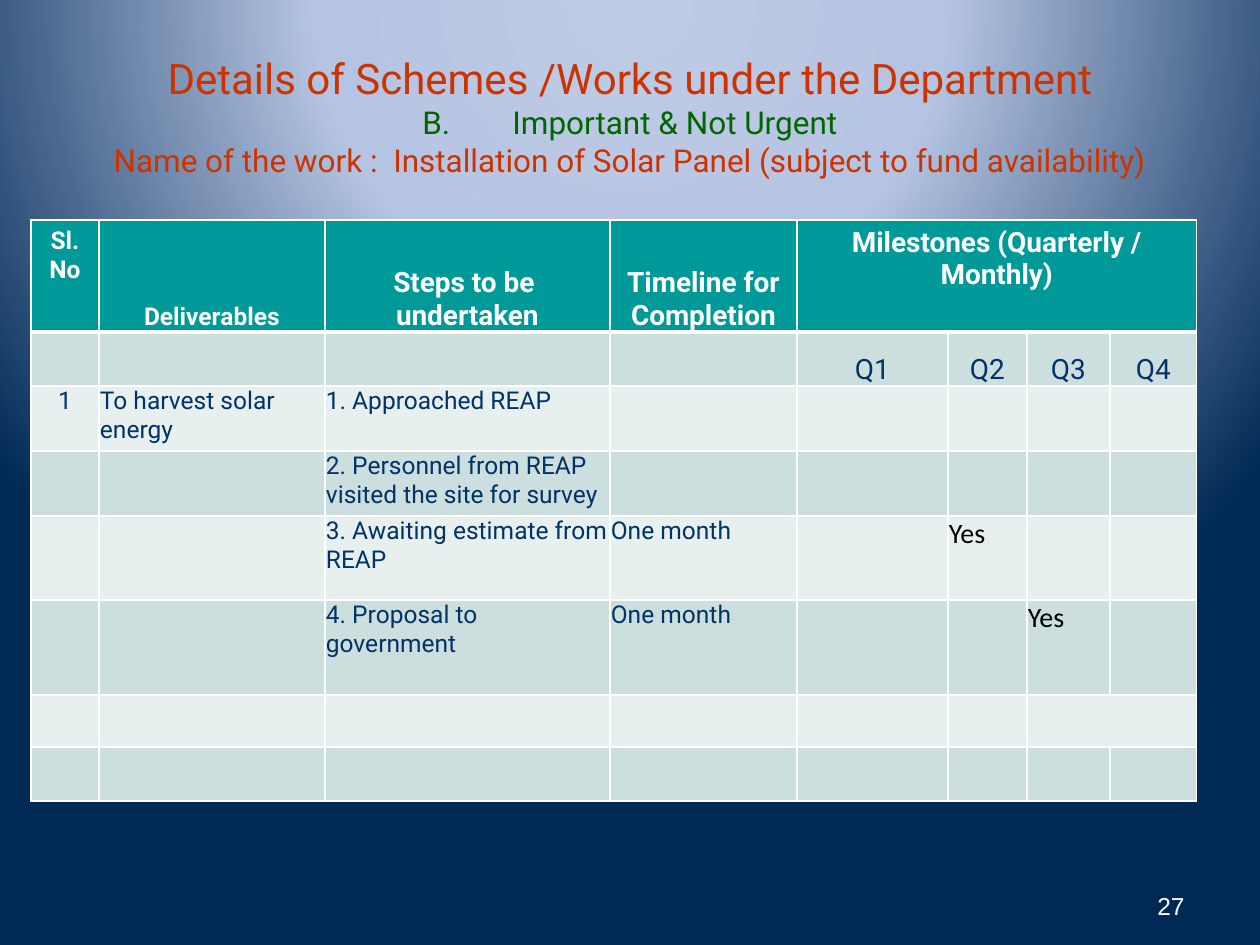
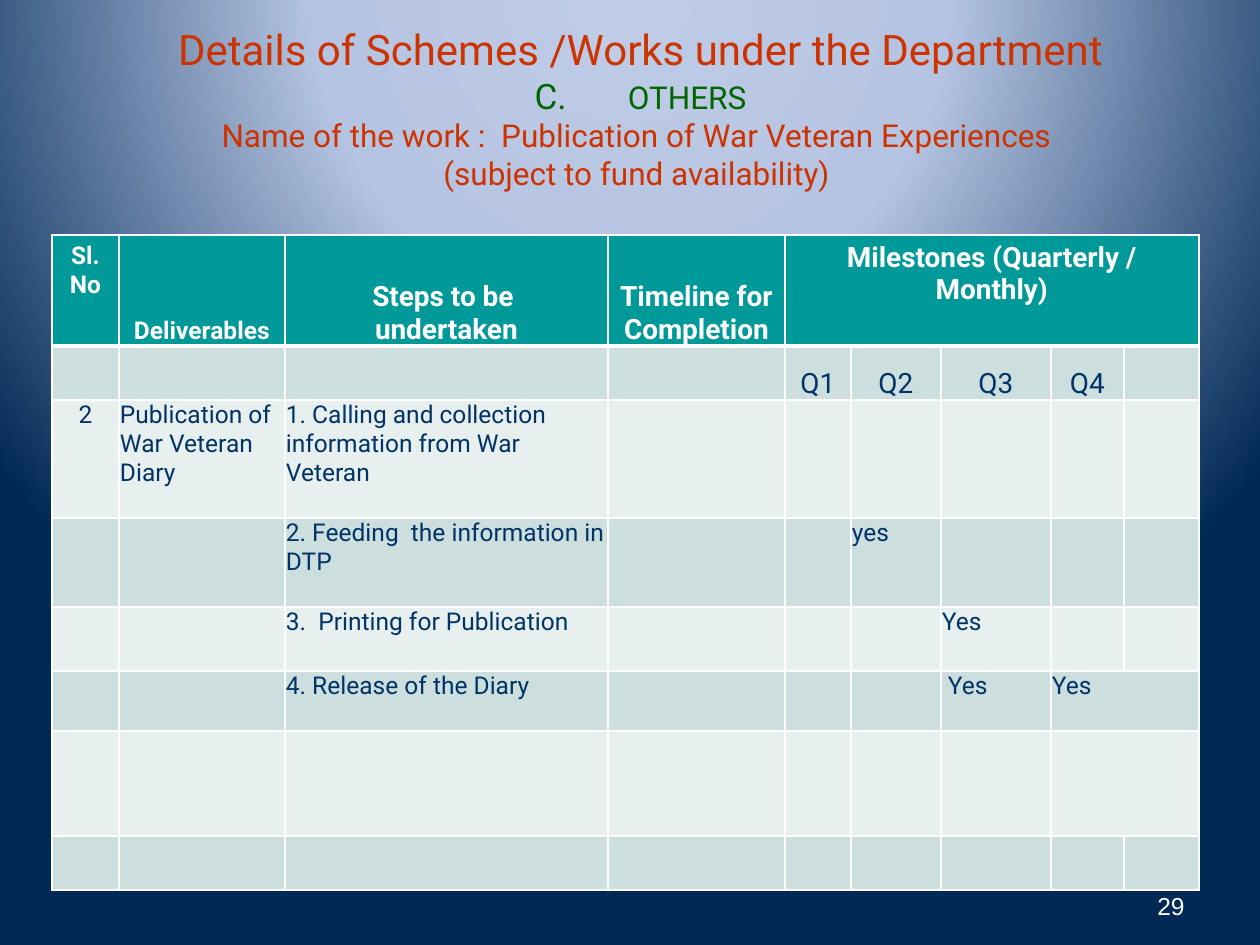
"""Build two scheme slides, each with a title, a milestone table and a page number."""
from dataclasses import dataclass

from lxml.etree import SubElement
from pptx import Presentation
from pptx.dml.color import RGBColor
from pptx.enum.text import MSO_ANCHOR as Anchor, PP_ALIGN as Align
from pptx.oxml import parse_xml
from pptx.oxml.ns import nsdecls, qn
from pptx.util import Pt

EMU_PER_PX = 914400 / 126
SLIDE_WIDTH, SLIDE_HEIGHT = 1260, 945
COLORS = {
    "title": "CC3300", "section": "006600", "header": "009999", "text": "003366",
    "dark_band": "CCDEDE", "light_band": "E7EFEF", "white": "FFFFFF", "black": "000000",
    "glow": "C0CCE6", "halo": "B5C4E2", "night": "002955",
}
GRADIENT_STOPS = ((0, "glow"), (40, "halo"), (100, "night"))
HEADINGS = ("Sl.\nNo", "Deliverables", "Steps to be \nundertaken",
            "Timeline for Completion", "Milestones (Quarterly / Monthly)")
QUARTERS = ("Q1", "Q2", "Q3", "Q4")
FIRST_QUARTER = 4


@dataclass(frozen=True)
class Box:
    """A rectangle in px."""

    left: int
    top: int
    width: int
    height: int


@dataclass(frozen=True)
class Section:
    """The lettered line of a title."""

    letter: str
    name: str
    letter_size: int
    gap: int


@dataclass(frozen=True)
class Mark:
    """The text format of a milestone mark."""

    font: str = "Roboto"
    size: int = 14
    color: str = "text"


@dataclass(frozen=True)
class Scheme:
    """The content and geometry of one slide."""

    page: str
    title_box: Box
    section: Section
    work: tuple[str, ...]
    table_left: int
    table_top: int
    columns: tuple[int, ...]
    rows: tuple[int, ...]
    entries: dict[tuple[int, int], str]
    merged: tuple[tuple[int, int], ...]
    mark: Mark = Mark()


SCHEMES = (
    Scheme(
        page="27",
        title_box=Box(63, 53, 1134, 126),
        section=Section("B.", "Important & Not Urgent", 18, 31),
        work=("Name of the work :  Installation of Solar Panel (subject to fund availability)",),
        table_left=31, table_top=220,
        columns=(68, 226, 285, 187, 151, 79, 83, 87),
        rows=(112, 54, 65, 65, 84, 95, 52, 54),
        entries={
            (2, 0): "1", (2, 1): "To harvest solar energy", (2, 2): "1. Approached REAP",
            (3, 2): "2. Personnel from REAP visited the site for survey",
            (4, 2): "3. Awaiting estimate from REAP", (4, 3): "One month", (4, 5): "Yes",
            (5, 2): "4. Proposal to government", (5, 3): "One month", (5, 6): "Yes",
        },
        merged=((6, 6),),
        mark=Mark("Calibri", 16, "black"),
    ),
    Scheme(
        page="29",
        title_box=Box(42, 24, 1197, 166),
        section=Section("C.", "OTHERS", 20, 30),
        work=("Name of the work :  Publication of War Veteran Experiences ",
              "(subject to fund availability) "),
        table_left=52, table_top=235,
        columns=(67, 166, 323, 177, 66, 90, 110, 73, 75),
        rows=(111, 54, 118, 89, 64, 60, 105, 54),
        entries={
            (2, 0): "2", (2, 1): "Publication of War Veteran Diary",
            (2, 2): "1. Calling and collection information from War Veteran",
            (3, 2): "2. Feeding  the information in DTP", (3, 5): "yes",
            (4, 2): "3.  Printing for Publication", (4, 6): "Yes",
            (5, 2): "4. Release of the Diary", (5, 6): " Yes", (5, 7): "Yes",
        },
        merged=((5, 7), (6, 7)),
    ),
)


def px(length: float) -> int:
    """Turn px into EMU."""
    return round(length * EMU_PER_PX)


def write(paragraph, text: str, *, size: int = 14, color: str = "text", font: str = "Roboto",
          bold: bool = False, align: Align = Align.LEFT, spacing: int = 0) -> None:
    """Add a formatted run to a paragraph."""
    paragraph.alignment = align
    run = paragraph.add_run()
    run.text = text
    run.font.size = Pt(size)
    run.font.name = font
    run.font.bold = bold
    run.font.color.rgb = RGBColor.from_string(COLORS[color])
    if spacing:
        run.font._element.set("spc", str(spacing * 100))


def add_text_frame(slide, box: Box, anchor: Anchor):
    """Add a wrapping text box and return its frame."""
    shape = slide.shapes.add_textbox(px(box.left), px(box.top), px(box.width), px(box.height))
    frame = shape.text_frame
    frame.word_wrap = True
    frame.vertical_anchor = anchor
    return frame


def paint_background(slide) -> None:
    """Fill the slide with the radial gradient."""
    stops = "".join(f'<a:gs pos="{position * 1000}"><a:srgbClr val="{COLORS[name]}"/></a:gs>'
                    for position, name in GRADIENT_STOPS)
    background = parse_xml(
        f'<p:bg {nsdecls("p", "a")}><p:bgPr><a:gradFill rotWithShape="1">'
        f'<a:gsLst>{stops}</a:gsLst><a:path path="circle">'
        '<a:fillToRect l="50000" t="-80000" r="50000" b="180000"/></a:path>'
        '</a:gradFill><a:effectLst/></p:bgPr></p:bg>')
    slide.element.find(qn("p:cSld")).insert(0, background)


def add_title(slide, scheme: Scheme) -> None:
    """Add the heading, the section line and the name of the work."""
    frame = add_text_frame(slide, scheme.title_box, Anchor.TOP)
    frame.margin_top = frame.margin_bottom = 0
    write(frame.paragraphs[0], "Details of Schemes /Works under the Department",
          size=24, color="title", align=Align.CENTER)
    section = scheme.section
    paragraph = frame.add_paragraph()
    for text, size, spacing in ((section.letter, section.letter_size, 0),
                                (" ", section.letter_size, section.gap),
                                (section.name, 18, 0)):
        write(paragraph, text, size=size, color="section", align=Align.CENTER, spacing=spacing)
    for line in scheme.work:
        write(frame.add_paragraph(), line, size=18, color="title", align=Align.CENTER)


def style_cell(cell, row: int) -> None:
    """Give a cell its white borders and band fill."""
    properties = cell._tc.get_or_add_tcPr()
    for side in ("L", "R", "T", "B"):
        width = 3 if (row, side) in ((0, "B"), (1, "T")) else 1
        line = SubElement(properties, qn(f"a:ln{side}"), w=str(Pt(width)))
        SubElement(SubElement(line, qn("a:solidFill")), qn("a:srgbClr"), val=COLORS["white"])
    band = "header" if row == 0 else "dark_band" if row % 2 else "light_band"
    cell.fill.solid()
    cell.fill.fore_color.rgb = RGBColor.from_string(COLORS[band])


def fill_cell(cell, text: str, *, tight: bool = True, anchor: Anchor = Anchor.TOP,
              **text_format) -> None:
    """Write the lines of a cell, with narrow margins where tight."""
    if tight:
        cell.margin_left = cell.margin_right = cell.margin_top = px(1)
        cell.margin_bottom = 0
    cell.vertical_anchor = anchor
    frame = cell.text_frame
    for index, line in enumerate(text.split("\n")):
        paragraph = frame.add_paragraph() if index else frame.paragraphs[0]
        write(paragraph, line, **text_format)


def add_milestone_table(slide, scheme: Scheme) -> None:
    """Add the table of steps and quarterly milestones."""
    table = slide.shapes.add_table(
        len(scheme.rows), len(scheme.columns), px(scheme.table_left), px(scheme.table_top),
        px(sum(scheme.columns)), px(sum(scheme.rows))).table
    table.first_row = table.horz_banding = False
    for column, width in zip(table.columns, scheme.columns):
        column.width = px(width)
    for index, (row, height) in enumerate(zip(table.rows, scheme.rows)):
        row.height = px(height)
        for cell in row.cells:
            style_cell(cell, index)
    table.cell(0, FIRST_QUARTER).merge(table.cell(0, len(scheme.columns) - 1))
    for row, column in scheme.merged:
        table.cell(row, column).merge(table.cell(row, column + 1))

    for column, heading in enumerate(HEADINGS):
        tight = 0 < column < FIRST_QUARTER
        fill_cell(table.cell(0, column), heading, tight=tight,
                  anchor=Anchor.BOTTOM if tight else Anchor.TOP,
                  size=14 if column < 2 else 16, color="white", bold=True, align=Align.CENTER)
    for column, quarter in enumerate(QUARTERS, FIRST_QUARTER):
        fill_cell(table.cell(1, column), quarter, anchor=Anchor.BOTTOM, size=16,
                  align=Align.CENTER)
    for (row, column), text in scheme.entries.items():
        style = scheme.mark if column >= FIRST_QUARTER else Mark()
        fill_cell(table.cell(row, column), text, font=style.font, size=style.size,
                  color=style.color, align=Align.LEFT if column else Align.CENTER)


def add_page_number(slide, page: str) -> None:
    """Add the page number at the lower right."""
    frame = add_text_frame(slide, Box(903, 861, 294, 66), Anchor.BOTTOM)
    write(frame.paragraphs[0], page, color="white", font="Arial", align=Align.RIGHT)


def main() -> None:
    """Build and save the presentation."""
    presentation = Presentation()
    presentation.slide_width = px(SLIDE_WIDTH)
    presentation.slide_height = px(SLIDE_HEIGHT)
    for scheme in SCHEMES:
        slide = presentation.slides.add_slide(presentation.slide_layouts[6])
        paint_background(slide)
        add_title(slide, scheme)
        add_milestone_table(slide, scheme)
        add_page_number(slide, scheme.page)
    presentation.save("out.pptx")


if __name__ == "__main__":
    main()
